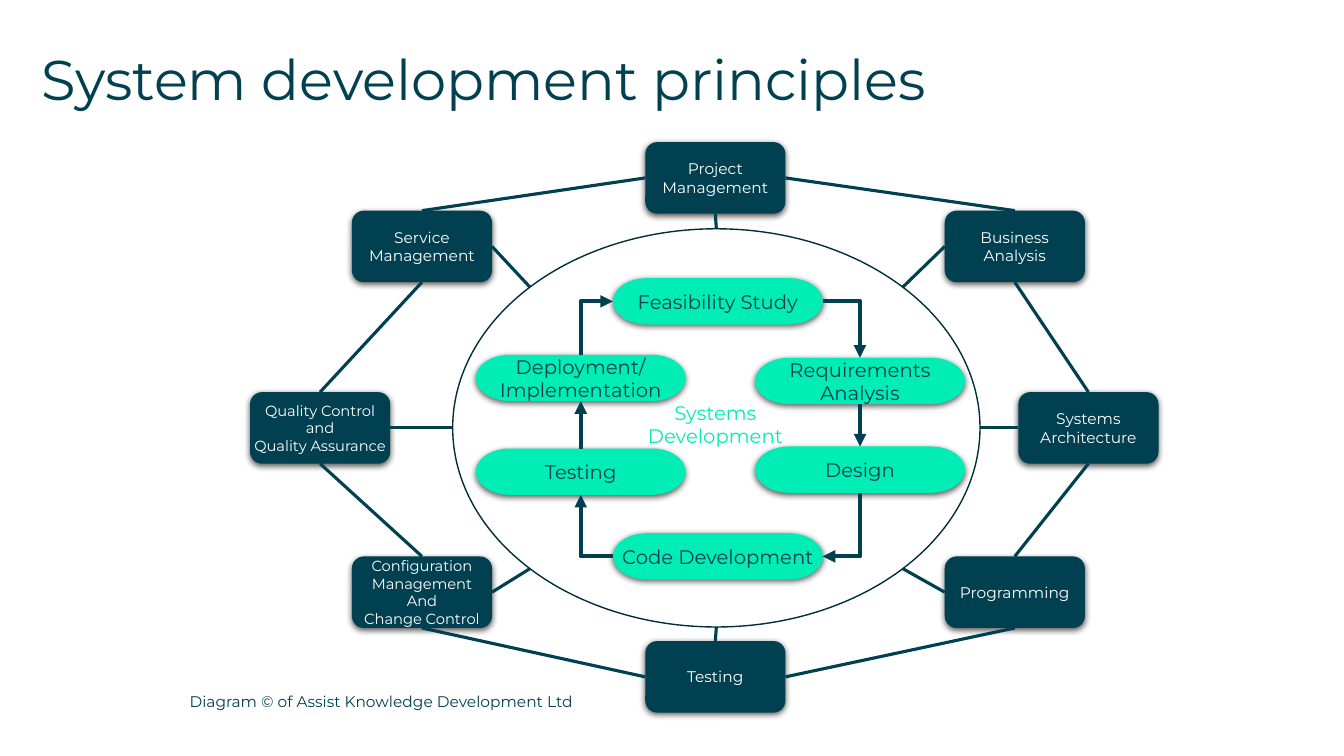
import math

from lxml import etree
from pptx import Presentation
from pptx.dml.color import RGBColor
from pptx.enum.shapes import MSO_CONNECTOR, MSO_SHAPE
from pptx.enum.text import MSO_ANCHOR, PP_ALIGN
from pptx.oxml.ns import qn
from pptx.util import Inches, Pt

STRAIGHT, ELBOW = MSO_CONNECTOR.STRAIGHT, MSO_CONNECTOR.ELBOW
ROUNDED, PILL, OVAL = MSO_SHAPE.ROUNDED_RECTANGLE, MSO_SHAPE.FLOWCHART_TERMINATOR, MSO_SHAPE.OVAL
TOP_ANCHOR, MIDDLE = MSO_ANCHOR.TOP, MSO_ANCHOR.MIDDLE
LEFT_ALIGN, CENTER = PP_ALIGN.LEFT, PP_ALIGN.CENTER
TOP, LEFT, BOTTOM, RIGHT = range(4)  # connection sites

FONT = "Montserrat"
NAVY, MINT, WHITE, OUTLINE = "004050", "00EDB5", "FFFFFF", "002F3B"
NODE_SIZE = (1.39, 0.71)
PILL_SIZE = (2.08, 0.46)

# Clockwise from the top: lines, offset, size, sites for ring in, ring out, spoke
DISCIPLINES = [
    (["Project", "Management"], 3.92, 0, 11, LEFT, RIGHT, BOTTOM),
    (["Business", "Analysis"], 6.89, 0.68, 11, TOP, BOTTOM, LEFT),
    (["Systems", "Architecture"], 7.62, 2.48, 11, TOP, BOTTOM, LEFT),
    (["Programming"], 6.89, 4.11, 11, TOP, BOTTOM, LEFT),
    (["Testing"], 3.92, 4.95, 11, RIGHT, LEFT, TOP),
    (["Configuration", "Management", "And", "Change Control"], 1.01, 4.11, 10.5, BOTTOM, TOP, RIGHT),
    (["Quality Control", "and", "Quality Assurance"], 0, 2.48, 10.5, BOTTOM, TOP, RIGHT),
    (["Service", "Management"], 1.01, 0.68, 11, BOTTOM, TOP, RIGHT),
]
STAGES = [
    (["Feasibility Study"], 1.59, 0.49),
    (["Requirements", "Analysis"], 3, 1.28),
    (["Design"], 3, 2.16),
    (["Code Development"], 1.59, 3.02),
    (["Testing"], 0.23, 2.18),
    (["Deployment/", "Implementation"], 0.23, 1.25),
]
# Start stage, site, end stage, site, arrowed end; elbows leave sideways
FLOWS = [
    (0, RIGHT, 1, TOP, "tailEnd"),
    (1, BOTTOM, 2, TOP, "tailEnd"),
    (3, RIGHT, 2, BOTTOM, "headEnd"),
    (3, LEFT, 4, BOTTOM, "tailEnd"),
    (4, TOP, 5, BOTTOM, "tailEnd"),
    (0, LEFT, 5, TOP, "headEnd"),
]


def color(hex_value):
    return RGBColor.from_string(hex_value)


def set_text(s, lines, size, hex_value, align=CENTER, anchor=MIDDLE, inset=0.04, wrap=False):
    tf = s.text_frame
    margins = {f"margin_{side}": Inches(inset) for side in ("left", "top", "right", "bottom")}
    for name, value in {**margins, "word_wrap": wrap, "vertical_anchor": anchor}.items():
        setattr(tf, name, value)
    for i, line in enumerate(lines):
        p = tf.paragraphs[0] if i == 0 else tf.add_paragraph()
        p.alignment = align
        r = p.add_run()
        r.text = line
        for name, value in {"name": FONT, "size": Pt(size)}.items():
            setattr(r.font, name, value)
        r.font.color.rgb = color(hex_value)


def add_text(slide, box, lines, size, hex_value, **text_format):
    s = slide.shapes.add_textbox(*map(Inches, box))
    set_text(s, lines, size, hex_value, **text_format)


def add_block(slide, kind, box, lines, size, fill, text_color):
    """Add a filled, borderless shape with a soft shadow and centred text."""
    s = slide.shapes.add_shape(kind, *map(Inches, box))
    s.fill.solid()
    s.fill.fore_color.rgb = color(fill)
    s.line.fill.background()
    s.shadow.inherit = False
    effects = s._element.spPr.find(qn("a:effectLst"))
    shadow = etree.SubElement(effects, qn("a:outerShdw"), blurRad=str(Pt(4.5)),
                              dist=str(Pt(1.5)), dir="5400000", rotWithShape="0")
    black = etree.SubElement(shadow, qn("a:srgbClr"), val="000000")
    etree.SubElement(black, qn("a:alpha"), val="63000")
    set_text(s, lines, size, text_color)
    return s


def add_link(slide, start, start_site, end=None, end_site=None, point=(0, 0),
             width=2.25, kind=STRAIGHT, arrow=None):
    """Join a shape's site to another shape's site, or to a free point."""
    c = slide.shapes.add_connector(kind, 0, 0, *map(Inches, point))
    c.begin_connect(start, start_site)
    if end is not None:
        c.end_connect(end, end_site)
    c.line.color.rgb = color(NAVY)
    c.line.width = Pt(width)
    spPr = c._element.spPr
    etree.SubElement(spPr, qn("a:effectLst"))
    if kind == ELBOW:
        spPr.find(qn("a:prstGeom")).set("prst", "bentConnector2")
    if arrow:
        etree.SubElement(spPr.find(qn("a:ln")), qn(f"a:{arrow}"), type="triangle")


def add_title(slide, box):
    s = slide.shapes.title
    for name, value in zip(("left", "top", "width", "height"), box):
        setattr(s, name, Inches(value))
    set_text(s, ["System development principles"], 40, NAVY, align=LEFT_ALIGN, inset=0, wrap=True)


def add_discipline_ring(slide, x, y, oval):
    """Place the outer boxes, the ring between them and spokes to the oval."""
    nodes = [add_block(slide, ROUNDED, (x + dx, y + dy, *NODE_SIZE), lines, size, NAVY, WHITE)
             for lines, dx, dy, size, *_ in DISCIPLINES]
    left, top, width, height = oval
    for i, (*_, out_site, spoke_site) in enumerate(DISCIPLINES):
        following = (i + 1) % len(nodes)
        add_link(slide, nodes[i], out_site, nodes[following], DISCIPLINES[following][4])
        angle = math.tau * i / len(nodes)
        rim = (left + width / 2 * (1 + math.sin(angle)), top + height / 2 * (1 - math.cos(angle)))
        add_link(slide, nodes[i], spoke_site, point=rim)


def add_development_cycle(slide, box):
    x, y = box[:2]
    oval = slide.shapes.add_shape(OVAL, *map(Inches, box))
    oval.fill.background()
    oval.line.color.rgb = color(OUTLINE)
    oval.line.width = Pt(1)
    oval.shadow.inherit = False
    add_text(slide, (x + 1.81, y + 1.62, 1.59, 0.64), ["Systems", "Development"], 14, MINT)
    stages = [add_block(slide, PILL, (x + dx, y + dy, *PILL_SIZE), lines, 14, MINT, NAVY)
              for lines, dx, dy in STAGES]
    for start, start_site, end, end_site, arrow in FLOWS:
        kind = ELBOW if start_site in (LEFT, RIGHT) else STRAIGHT
        add_link(slide, stages[start], start_site, stages[end], end_site,
                 width=3, kind=kind, arrow=arrow)


def main():
    prs = Presentation()
    prs.slide_width, prs.slide_height = Inches(13.33), Inches(7.5)
    slide = prs.slides.add_slide(prs.slide_layouts[5])
    oval = (4.49, 2.27, 5.23, 3.95)
    add_title(slide, (0.41, 0.4, 12.51, 0.75))
    add_discipline_ring(slide, 2.48, 1.41, oval)
    add_development_cycle(slide, oval)
    add_text(slide, (1.84, 6.83, 4, 0.28), ["Diagram © of Assist Knowledge Development Ltd"],
             11, NAVY, align=LEFT_ALIGN, anchor=TOP_ANCHOR, wrap=True)
    prs.save("out.pptx")


if __name__ == "__main__":
    main()
